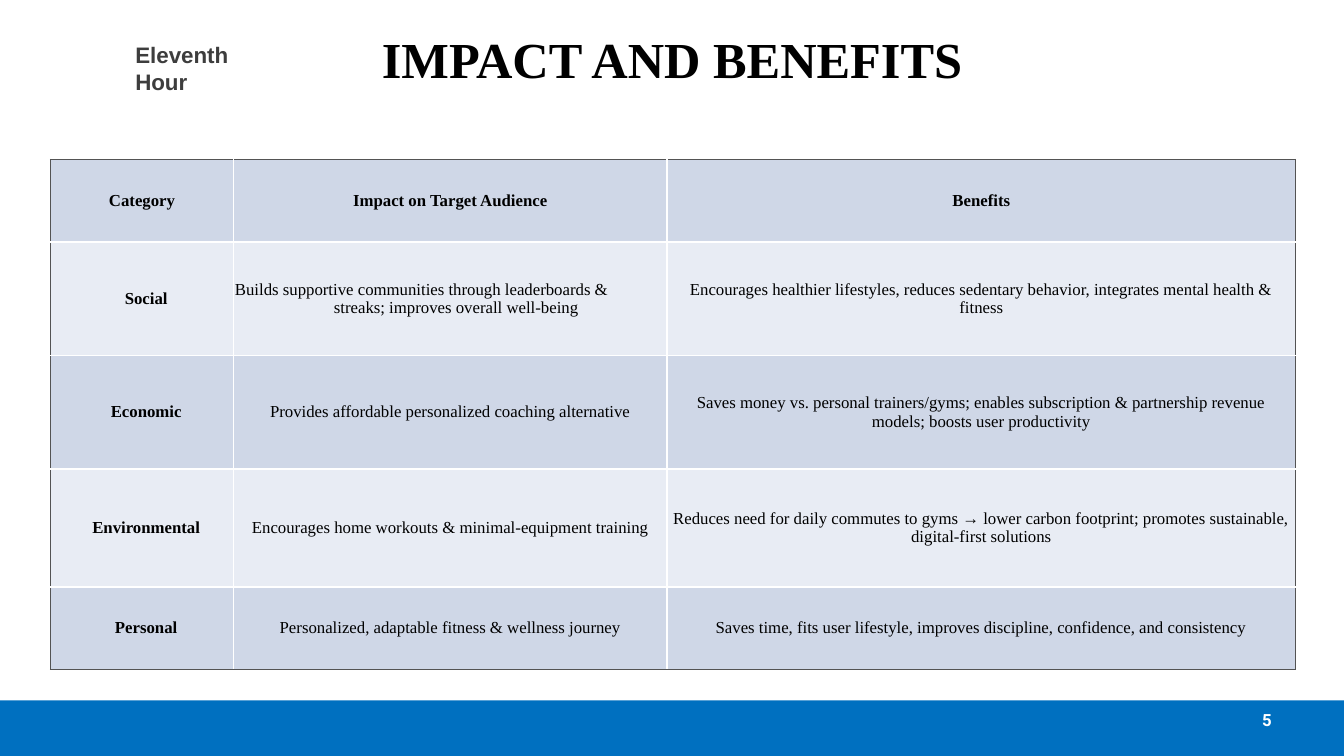
from dataclasses import dataclass
from lxml.etree import SubElement
from pptx import Presentation
from pptx.dml.color import RGBColor as Rgb
from pptx.enum.shapes import MSO_SHAPE as Preset
from pptx.enum.text import MSO_ANCHOR as Anchor, MSO_AUTO_SIZE as AutoSize, PP_ALIGN as Align
from pptx.oxml.ns import qn
from pptx.slide import Slide
from pptx.table import Table, _Cell as Cell
from pptx.text.text import TextFrame
from pptx.util import Cm, Pt

COLORS = {
    "footer": "0070C0",
    "black": "000000",
    "white": "FFFFFF",
    "team": "3D3D3D",
    "frame": "535353",
    "band": "CFD7E7",
    "pale": "E8ECF4",
}
FRAME_FORMAT = {
    "margin_left": Cm(0.13),
    "margin_right": Cm(0.13),
    "margin_top": Cm(0.13),
    "margin_bottom": Cm(0.13),
    "auto_size": AutoSize.NONE,
}
CELL_FORMAT = {
    "margin_left": Cm(0.03),
    "margin_right": Cm(0.03),
    "margin_top": Cm(0.03),
    "margin_bottom": Cm(0.03),
    "vertical_anchor": Anchor.MIDDLE,
}
COLUMN_WIDTHS = (4.62, 10.92, 15.84)
ROW_HEIGHTS = (2.08, 2.86, 2.86, 2.97, 2.08)
CATEGORY_INDENT = 0.21
STREAKS_INDENT = 0.3


@dataclass(frozen=True)
class Line:
    text: str
    align: Align = Align.CENTER
    indent: float = 0


@dataclass(frozen=True)
class Style:
    size: int
    font: str
    color: str
    bold: bool = True


@dataclass(frozen=True)
class Label:
    left: float
    top: float
    width: float
    height: float
    lines: tuple[Line, ...]
    style: Style
    anchor: Anchor = Anchor.MIDDLE
    wrap: bool = True


@dataclass(frozen=True)
class Topic:
    category: str
    impact: tuple[Line, ...]
    benefits: str


LABELS = (
    Label(1.7, -0.13, 30.48, 3.18, (Line("IMPACT AND BENEFITS"),),
          Style(36, "Times New Roman", "black")),
    Label(31.65, 17.78, 0.53, 0.74, (Line("5", Align.RIGHT),),
          Style(12, "Roboto", "white"), wrap=False),
    Label(3.28, 0.91, 2.79, 1.63,
          (Line("Eleventh", Align.LEFT), Line("Hour", Align.LEFT)),
          Style(16, "Arial", "team"), Anchor.TOP),
)
HEADINGS = ("Category", "Impact on Target Audience", "Benefits")
TOPICS = (
    Topic("Social",
          (Line("Builds supportive communities through leaderboards &", Align.LEFT),
           Line("streaks; improves overall well-being", indent=STREAKS_INDENT)),
          "Encourages healthier lifestyles, reduces sedentary behavior, "
          "integrates mental health & fitness"),
    Topic("Economic",
          (Line("Provides affordable personalized coaching alternative"),),
          "Saves money vs. personal trainers/gyms; enables subscription & "
          "partnership revenue models; boosts user productivity"),
    Topic("Environmental",
          (Line("Encourages home workouts & minimal-equipment training"),),
          "Reduces need for daily commutes to gyms → lower carbon footprint; "
          "promotes sustainable, digital-first solutions"),
    Topic("Personal",
          (Line("Personalized, adaptable fitness & wellness journey"),),
          "Saves time, fits user lifestyle, improves discipline, "
          "confidence, and consistency"),
)


def rgb(name: str) -> Rgb:
    return Rgb.from_string(COLORS[name])


def apply(target: object, formats: dict) -> None:
    for attribute, value in formats.items():
        setattr(target, attribute, value)


def write(frame: TextFrame, lines: tuple[Line, ...], style: Style) -> None:
    for index, line in enumerate(lines):
        paragraph = frame.add_paragraph() if index else frame.paragraphs[0]
        paragraph.alignment = line.align
        if line.indent:
            paragraph._p.get_or_add_pPr().set("marL", str(int(Cm(line.indent))))
        run = paragraph.add_run()
        run.text = line.text
        apply(run.font, {"size": Pt(style.size), "name": style.font, "bold": style.bold})
        run.font.color.rgb = rgb(style.color)


def add_label(slide: Slide, label: Label) -> None:
    box = slide.shapes.add_textbox(
        Cm(label.left), Cm(label.top), Cm(label.width), Cm(label.height))
    apply(box.text_frame, FRAME_FORMAT | {
        "vertical_anchor": label.anchor, "word_wrap": label.wrap})
    write(box.text_frame, label.lines, label.style)


def add_footer(slide: Slide) -> None:
    footer = slide.shapes.add_shape(
        Preset.RECTANGLE, Cm(0), Cm(17.65), Cm(33.87), Cm(1.4))
    footer.shadow.inherit = False
    footer.fill.solid()
    footer.fill.fore_color.rgb = rgb("footer")
    footer.line.fill.background()


def draw_borders(cell: Cell, outer_edges: dict[str, bool]) -> None:
    properties = cell._tc.get_or_add_tcPr()
    for edge, outer in outer_edges.items():
        border = SubElement(properties, qn(f"a:{edge}"), w=str(int(Pt(1))))
        fill = SubElement(border, qn("a:solidFill"))
        SubElement(fill, qn("a:srgbClr"), val=COLORS["frame" if outer else "white"])


def fill_row(table: Table, row: int, contents: tuple[tuple[Line, ...], ...]) -> None:
    for column, lines in enumerate(contents):
        cell = table.cell(row, column)
        apply(cell, CELL_FORMAT)
        draw_borders(cell, {
            "lnL": column == 0,
            "lnR": column == len(COLUMN_WIDTHS) - 1,
            "lnT": row == 0,
            "lnB": row == len(ROW_HEIGHTS) - 1,
        })
        cell.fill.solid()
        cell.fill.fore_color.rgb = rgb("pale" if row % 2 else "band")
        bold = row == 0 or column == 0
        write(cell.text_frame, lines, Style(12, "Times New Roman", "black", bold))


def add_impact_table(slide: Slide) -> None:
    table = slide.shapes.add_table(
        len(ROW_HEIGHTS), len(COLUMN_WIDTHS), Cm(1.27), Cm(4.02),
        Cm(sum(COLUMN_WIDTHS)), Cm(sum(ROW_HEIGHTS))).table
    apply(table, {"first_row": False, "horz_banding": False})
    for column, width in zip(table.columns, COLUMN_WIDTHS):
        column.width = Cm(width)
    for row, height in zip(table.rows, ROW_HEIGHTS):
        row.height = Cm(height)
    fill_row(table, 0, tuple((Line(heading),) for heading in HEADINGS))
    for row, topic in enumerate(TOPICS, start=1):
        category = Line(topic.category, indent=CATEGORY_INDENT)
        fill_row(table, row, ((category,), topic.impact, (Line(topic.benefits),)))


def main() -> None:
    deck = Presentation()
    apply(deck, {"slide_width": Cm(33.87), "slide_height": Cm(19.05)})
    slide = deck.slides.add_slide(deck.slide_layouts[6])
    add_footer(slide)
    add_impact_table(slide)
    for label in LABELS:
        add_label(slide, label)
    deck.save("out.pptx")


if __name__ == "__main__":
    main()
